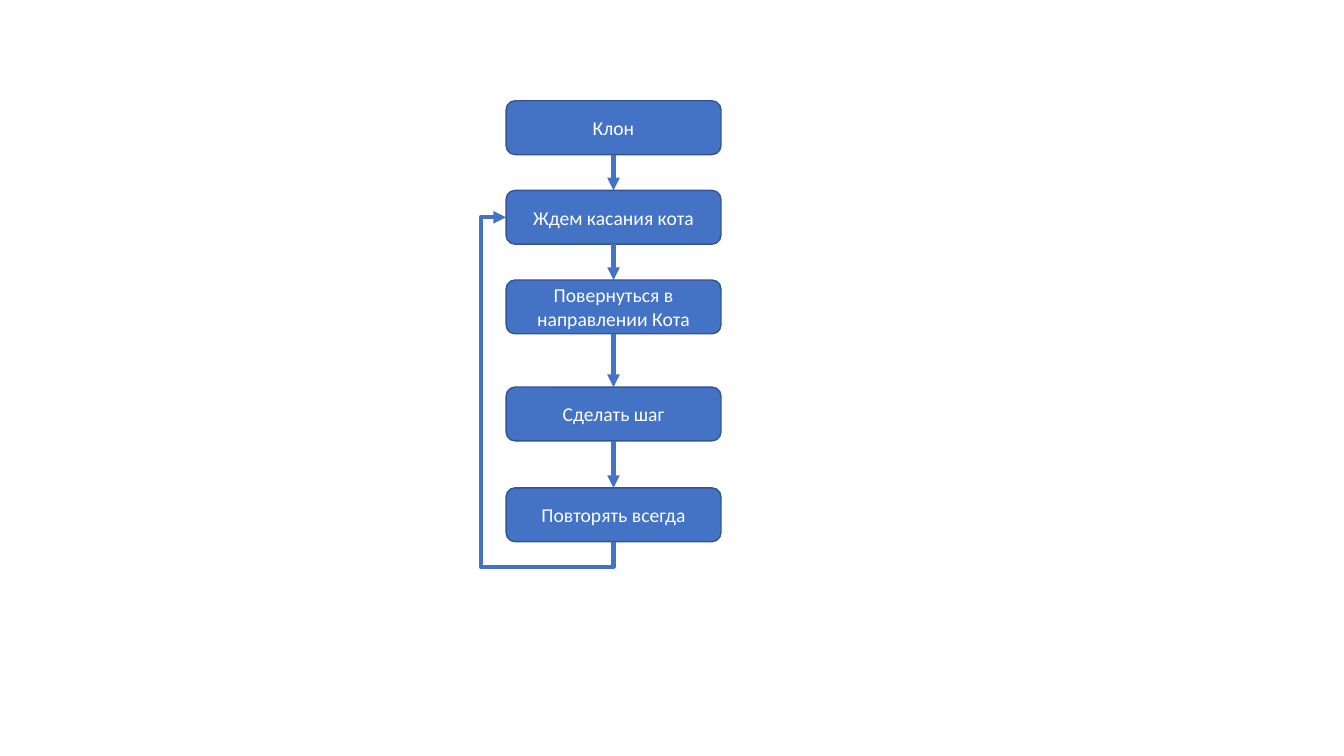
import dataclasses

import lxml.etree
import pptx
import pptx.dml.color
import pptx.enum.shapes
import pptx.enum.text
import pptx.oxml.ns
import pptx.util

Pt = pptx.util.Pt
RGB = pptx.dml.color.RGBColor
Kind = pptx.enum.shapes.MSO_CONNECTOR
qn = pptx.oxml.ns.qn

TOP, LEFT, BOTTOM = 0, 1, 2  # connection sites


@dataclasses.dataclass
class Theme:
    fill: RGB = RGB(0x44, 0x72, 0xC4)
    edge: RGB = RGB(0x32, 0x54, 0x91)
    text: RGB = RGB(0xFF, 0xFF, 0xFF)
    font: str = "Calibri"
    size: float = 14
    thin: float = 1
    thick: float = 3


class Chart:
    def __init__(self, slide, theme):
        self.slide = slide
        self.theme = theme

    def box(self, text, x, y, w, h):
        theme = self.theme
        box = self.slide.shapes.add_shape(
            pptx.enum.shapes.MSO_SHAPE.ROUNDED_RECTANGLE, Pt(x), Pt(y), Pt(w), Pt(h))
        box.shadow.inherit = False
        box.fill.solid()
        box.fill.fore_color.rgb = theme.fill
        box.line.color.rgb = theme.edge
        box.line.width = Pt(theme.thin)
        frame = box.text_frame
        frame.text = text
        frame.word_wrap = True
        frame.vertical_anchor = pptx.enum.text.MSO_ANCHOR.MIDDLE
        line = frame.paragraphs[0]
        line.alignment = pptx.enum.text.PP_ALIGN.CENTER
        font = line.runs[0].font
        font.name = theme.font
        font.size = Pt(theme.size)
        font.color.rgb = theme.text
        return box

    def arrow(self, start, end, kind=Kind.STRAIGHT, site=TOP):
        """Join the bottom of start to the given site of end."""
        link = self.slide.shapes.add_connector(kind, 0, 0, 0, 0)
        link.begin_connect(start, BOTTOM)
        link.end_connect(end, site)
        link.line.color.rgb = self.theme.fill
        link.line.width = Pt(self.theme.thick)
        props = link._element.spPr
        tail = lxml.etree.SubElement(props.find(qn("a:ln")), qn("a:tailEnd"))
        tail.set("type", "triangle")
        lxml.etree.SubElement(props, qn("a:effectLst"))
        return link

    def loop(self, start, end, drop, reach):
        """Lead back from start to the left of end, drop below and reach aside."""
        link = self.arrow(start, end, Kind.ELBOW, LEFT)
        wide, tall = link.width, link.height
        # The frame is turned a quarter about its centre, so its sides swap.
        link.left += (wide - tall) // 2
        link.top += (tall - wide) // 2
        link.width, link.height = tall, wide
        props = link._element.spPr
        frame = props.find(qn("a:xfrm"))
        for name, value in (("rot", "5400000"), ("flipH", "1"), ("flipV", "0")):
            frame.set(name, value)
        shape = props.find(qn("a:prstGeom"))
        shape.set("prst", "bentConnector4")
        guides = shape.find(qn("a:avLst"))
        ratios = (-Pt(drop) / tall, 1 + Pt(reach) / wide)
        for index, ratio in enumerate(ratios, 1):
            guide = lxml.etree.SubElement(guides, qn("a:gd"))
            guide.set("name", f"adj{index}")
            guide.set("fmla", f"val {round(ratio * 100000)}")


STEPS = (
    ("Клон", 72),
    ("Ждем касания кота", 136),
    ("Повернуться в направлении Кота", 200),
    ("Сделать шаг", 276.5),
    ("Повторять всегда", 348.5),
)


def main():
    deck = pptx.Presentation()
    deck.slide_width, deck.slide_height = Pt(960), Pt(540)
    chart = Chart(deck.slides.add_slide(deck.slide_layouts[6]), Theme())
    boxes = [chart.box(text, 361.5, y, 153.5, 38.4) for text, y in STEPS]
    for start, end in zip(boxes, boxes[1:]):
        chart.arrow(start, end)
    chart.loop(boxes[-1], boxes[1], drop=18, reach=18)
    deck.save("out.pptx")


if __name__ == "__main__":
    main()
